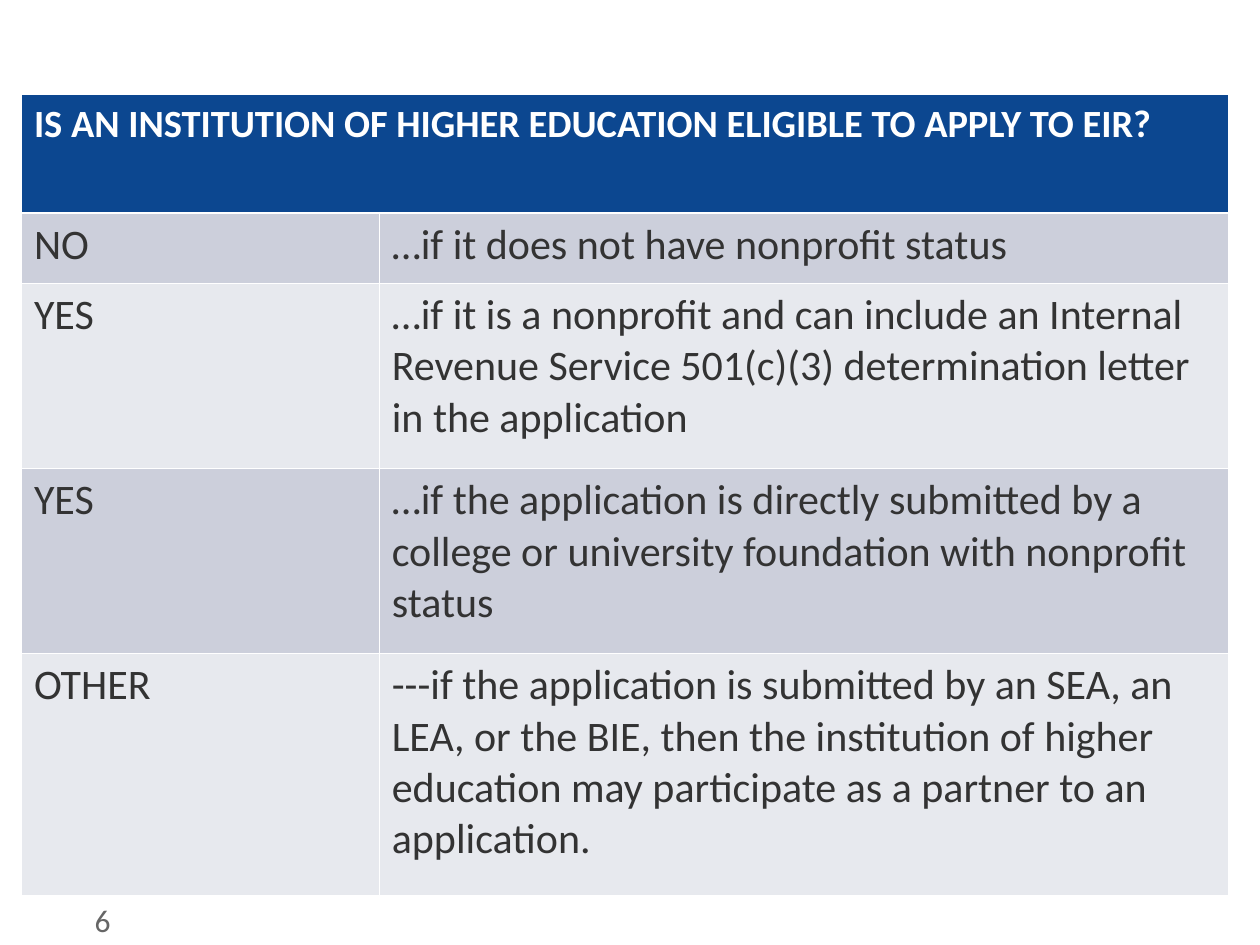
from pptx import Presentation
from pptx.dml.color import RGBColor
from pptx.enum.text import MSO_ANCHOR
from pptx.oxml import parse_xml
from pptx.oxml.ns import nsdecls
from pptx.util import Inches, Pt

TITLE = "IS AN INSTITUTION OF HIGHER EDUCATION ELIGIBLE TO APPLY TO EIR?"
ANSWERS = [
    ("NO", "…if it does not have nonprofit status"),
    ("YES", "…if it is a nonprofit and can include an Internal Revenue Service "
            "501(c)(3) determination letter in the application"),
    ("YES", "…if the application is directly submitted by a college or university "
            "foundation with nonprofit status"),
    ("OTHER", "---if the application is submitted by an SEA, an LEA, or the BIE, then "
              "the institution of higher education may participate as a partner to an "
              "application."),
]
PAGE_NUMBER = "6"

COL_WIDTHS = [2.84, 6.74]
ROW_HEIGHTS = [0.94, 0.56, 1.47, 1.47, 1.92]
FONT = "Calibri"
COLORS = {"header": "0C4790", "dark_band": "CCCFDB", "light_band": "E7E9EE",
          "white": "FFFFFF", "text": "333333", "number": "666666"}
THIN, THICK = 0.45, 1.47


def rgb(name):
    return RGBColor.from_string(COLORS[name])


def add_text(tf, text, size, color, bold=False):
    r = tf.paragraphs[0].add_run()
    r.text = text
    r.font.name = FONT
    r.font.size = Pt(size)
    r.font.bold = bold
    r.font.color.rgb = rgb(color)


def style_cell(cell, fill, top, bottom):
    """Give a cell white borders, its margins and a solid fill."""
    tcPr = cell._tc.get_or_add_tcPr()
    for side, width in (("L", THIN), ("R", THIN), ("T", top), ("B", bottom)):
        tcPr.append(parse_xml(
            f'<a:ln{side} {nsdecls("a")} w="{Pt(width)}"><a:solidFill>'
            f'<a:srgbClr val="{COLORS["white"]}"/></a:solidFill></a:ln{side}>'))
    cell.fill.solid()
    cell.fill.fore_color.rgb = rgb(fill)
    cell.margin_left = cell.margin_right = Inches(0.1)
    cell.margin_top = cell.margin_bottom = Inches(0.05)


prs = Presentation()
prs.slide_width, prs.slide_height = Inches(10), Inches(7.5)
s = prs.slides.add_slide(prs.slide_layouts[6])

table = s.shapes.add_table(
    len(ROW_HEIGHTS), len(COL_WIDTHS), Inches(0.17), Inches(0.75),
    Inches(sum(COL_WIDTHS)), Inches(sum(ROW_HEIGHTS))).table
for col, width in zip(table.columns, COL_WIDTHS):
    col.width = Inches(width)
for row, height in zip(table.rows, ROW_HEIGHTS):
    row.height = Inches(height)

header = table.cell(0, 0)
header.merge(table.cell(0, 1))
add_text(header.text_frame, TITLE, 22, "white", bold=True)
for cell in table.rows[0].cells:
    style_cell(cell, "header", THIN, THICK)

for i, answer in enumerate(ANSWERS, start=1):
    band = "dark_band" if i % 2 else "light_band"
    for j, text in enumerate(answer):
        cell = table.cell(i, j)
        add_text(cell.text_frame, text, 24, "text")
        style_cell(cell, band, THICK if i == 1 else THIN, THIN)

number = s.shapes.add_textbox(Inches(0.75), Inches(7.1), Inches(0.58), Inches(0.4))
tf = number.text_frame
tf.word_wrap = True
tf.vertical_anchor = MSO_ANCHOR.MIDDLE
tf.margin_left = tf.margin_right = 0
add_text(tf, PAGE_NUMBER, 18, "number")

prs.save("out.pptx")
